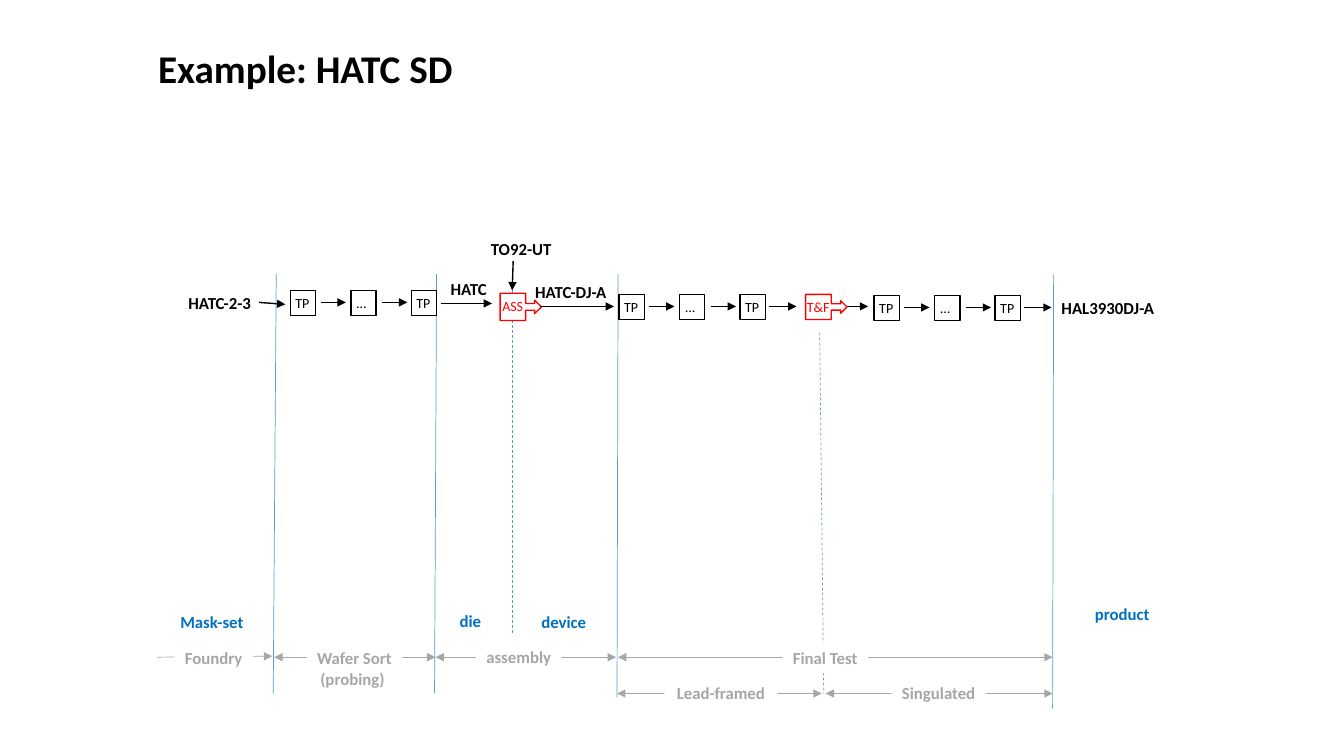
from dataclasses import dataclass
from lxml.etree import SubElement
from pptx import Presentation
from pptx.dml.color import RGBColor
from pptx.enum.dml import MSO_LINE
from pptx.enum.shapes import MSO_CONNECTOR, MSO_SHAPE
from pptx.enum.text import MSO_ANCHOR, MSO_AUTO_SIZE, PP_ALIGN
from pptx.oxml.ns import qn
from pptx.util import Pt

PX = 9144


@dataclass(frozen=True)
class Theme:
    black: str = "000000"
    red: str = "FF0000"
    white: str = "FFFFFF"
    blue: str = "0070C0"
    guide: str = "5B9BD5"
    grey: str = "A6A6A6"
    font: str = "Calibri"
    title: int = 28
    label: int = 12
    step: int = 10
    thin: float = 0.5
    thick: float = 1


class FlowSlide:
    """Draws the parts of a process flow on one slide, in px of 1/100 inch."""

    def __init__(self, prs, theme):
        self.t = theme
        self.s = prs.slides.add_slide(prs.slide_layouts[6])

    def put(self, obj, fmt):
        for name, value in fmt.items():
            setattr(obj, name, value)

    def line(self, x1, y1, x2, y2, color, width, ends="", dash=False):
        c = self.s.shapes.add_connector(
            MSO_CONNECTOR.STRAIGHT, x1 * PX, y1 * PX, x2 * PX, y2 * PX)
        c.line.color.rgb = RGBColor.from_string(color)
        c.line.width = Pt(width)
        if dash:
            c.line.dash_style = MSO_LINE.DASH
        spPr = c._element.spPr
        for end in ends.split():
            SubElement(spPr.find(qn("a:ln")), qn(f"a:{end}End"), type="triangle")
        SubElement(spPr, qn("a:effectLst"))

    def arrow(self, x1, y1, x2, y2):
        self.line(x1, y1, x2, y2, self.t.black, self.t.thick, "tail")

    def guide(self, x1, y1, x2, y2, dash=False):
        self.line(x1, y1, x2, y2, self.t.guide, self.t.thin, dash=dash)

    def span(self, x1, y1, x2, y2, ends="head tail"):
        self.line(x1, y1, x2, y2, self.t.grey, self.t.thin, ends)

    def style_text(self, sp, text, color, size, bold=True, align=PP_ALIGN.LEFT):
        tf = sp.text_frame
        self.put(tf, {"text": text, "word_wrap": False,
                      "auto_size": MSO_AUTO_SIZE.SHAPE_TO_FIT_TEXT})
        for p in tf.paragraphs:
            p.alignment = align
            for r in p.runs:
                self.put(r.font, {"name": self.t.font, "size": Pt(size), "bold": bold})
                r.font.color.rgb = RGBColor.from_string(color)

    def text(self, x, y, w, h, text, color, size):
        sp = self.s.shapes.add_textbox(x * PX, y * PX, w * PX, h * PX)
        self.style_text(sp, text, color, size)

    def box(self, shapes, kind, x, y, w, h, fill=None, outline=None):
        sp = shapes.add_shape(kind, x * PX, y * PX, w * PX, h * PX)
        sp.shadow.inherit = False
        if fill:
            sp.fill.solid()
            sp.fill.fore_color.rgb = RGBColor.from_string(fill)
        else:
            sp.fill.background()
        if outline:
            sp.line.color.rgb = RGBColor.from_string(outline)
            sp.line.width = Pt(self.t.thick)
        else:
            sp.line.fill.background()
        return sp

    def phase(self, x, y, w, h, text):
        sp = self.box(self.s.shapes, MSO_SHAPE.RECTANGLE, x, y, w, h, self.t.white)
        self.style_text(sp, text, self.t.grey, self.t.label, align=PP_ALIGN.CENTER)
        sp.text_frame.vertical_anchor = MSO_ANCHOR.MIDDLE

    def step(self, x, y, text, dx, w):
        shapes = self.s.shapes.add_group_shape().shapes
        self.box(shapes, MSO_SHAPE.RECTANGLE, x, y, 25, 25, outline=self.t.black)
        self.step_text(shapes, x + dx, y - 1, w, text, self.t.black)

    def callout(self, x, y, h, text, dx, w):
        shapes = self.s.shapes.add_group_shape().shapes
        sp = self.box(shapes, MSO_SHAPE.RIGHT_ARROW_CALLOUT, x, y, 41, h,
                      self.t.white, self.t.red)
        for i, value in enumerate((0.25, 0.25, 0.25, 0.62)):
            sp.adjustments[i] = value
        self.step_text(shapes, x + dx, y - 1, w, text, self.t.red)

    def step_text(self, shapes, x, y, w, text, color):
        sp = shapes.add_textbox(x * PX, y * PX, w * PX, 27 * PX)
        self.style_text(sp, text, color, self.t.step, False, PP_ALIGN.CENTER)

    def chain(self, x, y):
        for i, (text, w) in enumerate((("TP", 34), ("…", 31), ("TP", 34))):
            self.step(x + 60 * i, y, text, -5, w)
        for dx in (30, 91):
            self.arrow(x + dx, y + 12, x + dx + 25, y + 12)


def main():
    prs = Presentation()
    prs.slide_width, prs.slide_height = 1333 * PX, 750 * PX
    t = Theme()
    f = FlowSlide(prs, t)

    for x1, x2, bottom in ((274, 271, 688), (433, 431, 688),
                           (613, 612, 692), (1045, 1044, 703)):
        f.guide(x1, 272, x2, bottom)
    f.guide(508, 288, 508, 628, True)
    f.guide(813, 330, 817, 688, True)

    f.span(156, 652, 270, 651, "tail")
    for x1, x2, y in ((272, 432, 652), (432, 611, 652), (613, 1044, 652),
                      (612, 815, 688), (819, 1044, 688)):
        f.span(x1, y, x2, y)
    for x, y, w, h, text in ((173, 638, 78, 30, "Foundry"),
                             (304, 638, 95, 50, "Wafer Sort\n(probing) "),
                             (472, 637, 85, 30, "assembly"),
                             (776, 638, 85, 30, "Final Test"),
                             (659, 672, 112, 30, "Lead-framed"),
                             (884, 672, 94, 30, "Singulated")):
        f.phase(x, y, w, h, text)

    for x, y in ((288, 288), (614, 292), (867, 293)):
        f.chain(x, y)
    f.callout(496, 291, 27, "ASS", -8, 41)
    f.callout(799, 292, 25, "T&F", -9, 43)
    for x1, y1, x2, y2 in ((257, 300, 283, 302), (437, 301, 488, 301),
                           (509, 259, 508, 288), (536, 304, 609, 304),
                           (763, 304, 790, 304), (840, 304, 861, 304),
                           (1016, 305, 1043, 305)):
        f.arrow(x1, y1, x2, y2)

    f.text(147, 39, 316, 57, "Example: HATC SD", t.black, t.title)
    for x, y, w, text in ((177, 286, 83, "HATC-2-3"), (437, 272, 57, "HATC"),
                          (477, 232, 81, "TO92-UT"), (521, 275, 93, "HATC-DJ-A"),
                          (1043, 290, 114, "HAL3930DJ-A")):
        f.text(x, y, w, 30, text, t.black, t.label)
    for x, y, w, text in ((169, 602, 84, "Mask-set"), (446, 601, 42, "die"),
                          (527, 602, 65, "device"), (1076, 594, 75, "product")):
        f.text(x, y, w, 30, text, t.blue, t.label)

    prs.save("out.pptx")


if __name__ == "__main__":
    main()
